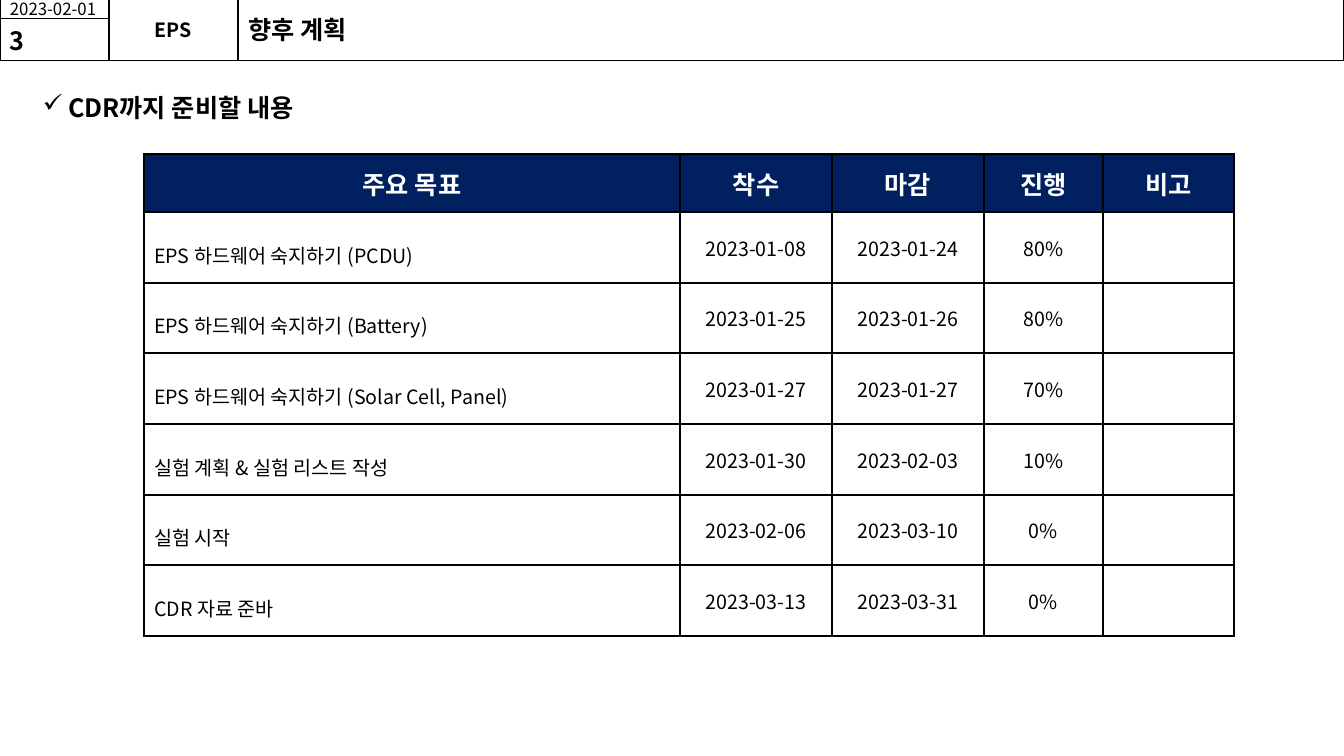
import dataclasses

import lxml.etree
import pptx
import pptx.dml.color
import pptx.enum.shapes
import pptx.enum.text
import pptx.oxml.ns
import pptx.util

qn = pptx.oxml.ns.qn
Align = pptx.enum.text.PP_ALIGN
Anchor = pptx.enum.text.MSO_ANCHOR
EMU_PER_PX = 914400 / 100.8


@dataclasses.dataclass(frozen=True)
class Theme:
    font: str = "Noto Sans CJK KR"
    ink: str = "000000"
    paper: str = "FFFFFF"
    header: str = "002060"
    heading_size: int = 18
    body_size: int = 14
    date_size: int = 12
    frame_width: float = 0.75
    border_width: int = 1


def px(length):
    return pptx.util.Emu(round(length * EMU_PER_PX))


def rgb(colour):
    return pptx.dml.color.RGBColor.from_string(colour)


class PageBuilder:
    def __init__(self, page, theme):
        self.page = page
        self.theme = theme

    def add_text(self, frame, text, size, bold=False, colour=None, align=Align.LEFT):
        """Put one run in the first paragraph, with Latin and Korean fonts alike."""
        para = frame.paragraphs[0]
        para.alignment = align
        span = para.add_run()
        span.text = text
        span.font.size = pptx.util.Pt(size)
        span.font.bold = bold
        span.font.name = self.theme.font
        span.font.color.rgb = rgb(colour or self.theme.ink)
        east_asian = lxml.etree.SubElement(span.font._element, qn("a:ea"))
        east_asian.set("typeface", self.theme.font)
        return para

    def title(self, text, left, top, width, height):
        box = self.page.shapes.title
        box.left, box.top, box.width, box.height = map(px, (left, top, width, height))
        frame = box.text_frame
        frame.auto_size = pptx.enum.text.MSO_AUTO_SIZE.NONE
        frame.vertical_anchor = Anchor.TOP
        self.add_text(frame, text, self.theme.heading_size, bold=True)

    def frame_box(self, left, top, width, height):
        """Add an unfilled, outlined rectangle and return its text frame."""
        box = self.page.shapes.add_shape(
            pptx.enum.shapes.MSO_SHAPE.RECTANGLE, *map(px, (left, top, width, height)))
        box.shadow.inherit = False
        box.fill.background()
        box.line.color.rgb = rgb(self.theme.ink)
        box.line.width = pptx.util.Pt(self.theme.frame_width)
        box.text_frame.vertical_anchor = Anchor.MIDDLE
        return box.text_frame

    def check_item(self, text, left, top, width, height):
        box = self.page.shapes.add_textbox(*map(px, (left, top, width, height)))
        box.text_frame.word_wrap = True
        para = self.add_text(box.text_frame, text, self.theme.heading_size, bold=True)
        para.line_spacing = 0.9
        properties = para._p.get_or_add_pPr()
        indent = pptx.util.Inches(0.25)
        properties.set("marL", str(indent))
        properties.set("indent", str(-indent))
        lxml.etree.SubElement(properties, qn("a:buChar")).set("char", "✓")

    def cell_borders(self, cell):
        properties = cell._tc.get_or_add_tcPr()
        for side in ("lnL", "lnR", "lnT", "lnB"):
            line = lxml.etree.SubElement(properties, qn(f"a:{side}"))
            line.set("w", str(pptx.util.Pt(self.theme.border_width)))
            fill = lxml.etree.SubElement(line, qn("a:solidFill"))
            lxml.etree.SubElement(fill, qn("a:srgbClr")).set("val", self.theme.ink)

    def table(self, rows, left, top, widths, heights):
        theme = self.theme
        table = self.page.shapes.add_table(
            len(rows), len(widths),
            *map(px, (left, top, sum(widths), sum(heights)))).table
        for column, width in zip(table.columns, widths):
            column.width = px(width)
        for row, height in zip(table.rows, heights):
            row.height = px(height)
        for row_index, values in enumerate(rows):
            is_header = row_index == 0
            for column_index, value in enumerate(values):
                cell = table.cell(row_index, column_index)
                self.cell_borders(cell)
                cell.fill.solid()
                cell.fill.fore_color.rgb = rgb(theme.header if is_header else theme.paper)
                cell.vertical_anchor = Anchor.MIDDLE
                if not value:
                    continue
                is_goal = column_index == 0 and not is_header
                para = self.add_text(
                    cell.text_frame, value,
                    theme.heading_size if is_header else theme.body_size,
                    bold=is_header,
                    colour=theme.paper if is_header else theme.ink,
                    align=Align.LEFT if is_goal else Align.CENTER)
                if is_goal:
                    para.line_spacing = 1.5


SCHEDULE = [
    ("주요 목표", "착수", "마감", "진행", "비고"),
    ("EPS 하드웨어 숙지하기 (PCDU)", "2023-01-08", "2023-01-24", "80%", ""),
    ("EPS 하드웨어 숙지하기 (Battery)", "2023-01-25", "2023-01-26", "80%", ""),
    ("EPS 하드웨어 숙지하기 (Solar Cell, Panel)", "2023-01-27", "2023-01-27", "70%", ""),
    ("실험 계획 & 실험 리스트 작성", "2023-01-30", "2023-02-03", "10%", ""),
    ("실험 시작", "2023-02-06", "2023-03-10", "0%", ""),
    ("CDR 자료 준바", "2023-03-13", "2023-03-31", "0%", ""),
]


def main():
    deck = pptx.Presentation()
    deck.slide_width, deck.slide_height = px(1344), px(756)
    theme = Theme()
    builder = PageBuilder(deck.slides.add_slide(deck.slide_layouts[5]), theme)

    builder.check_item("CDR까지 준비할 내용", 33, 91, 1202, 614)

    builder.frame_box(238, -1, 1106, 62)
    date = builder.frame_box(0, -1, 109, 20)
    builder.add_text(date, "2023-02-01", theme.date_size)
    subsystem = builder.frame_box(109, -1, 129, 62)
    subsystem.margin_left = subsystem.margin_right = 0
    subsystem.margin_top = subsystem.margin_bottom = 0
    builder.add_text(subsystem, "EPS", theme.body_size, bold=True, align=Align.CENTER)
    number = builder.frame_box(0, 19, 109, 42)
    builder.add_text(number, "3", theme.heading_size, bold=True)
    builder.title("향후 계획", 238, 9, 735, 40)

    goals = len(SCHEDULE) - 1
    edges = [round(424 * index / goals) for index in range(goals + 1)]
    goal_heights = [end - start for start, end in zip(edges, edges[1:])]
    builder.table(SCHEDULE, 144, 154, [536, 152, 152, 119, 131], [58, *goal_heights])

    deck.save("out.pptx")


if __name__ == "__main__":
    main()
